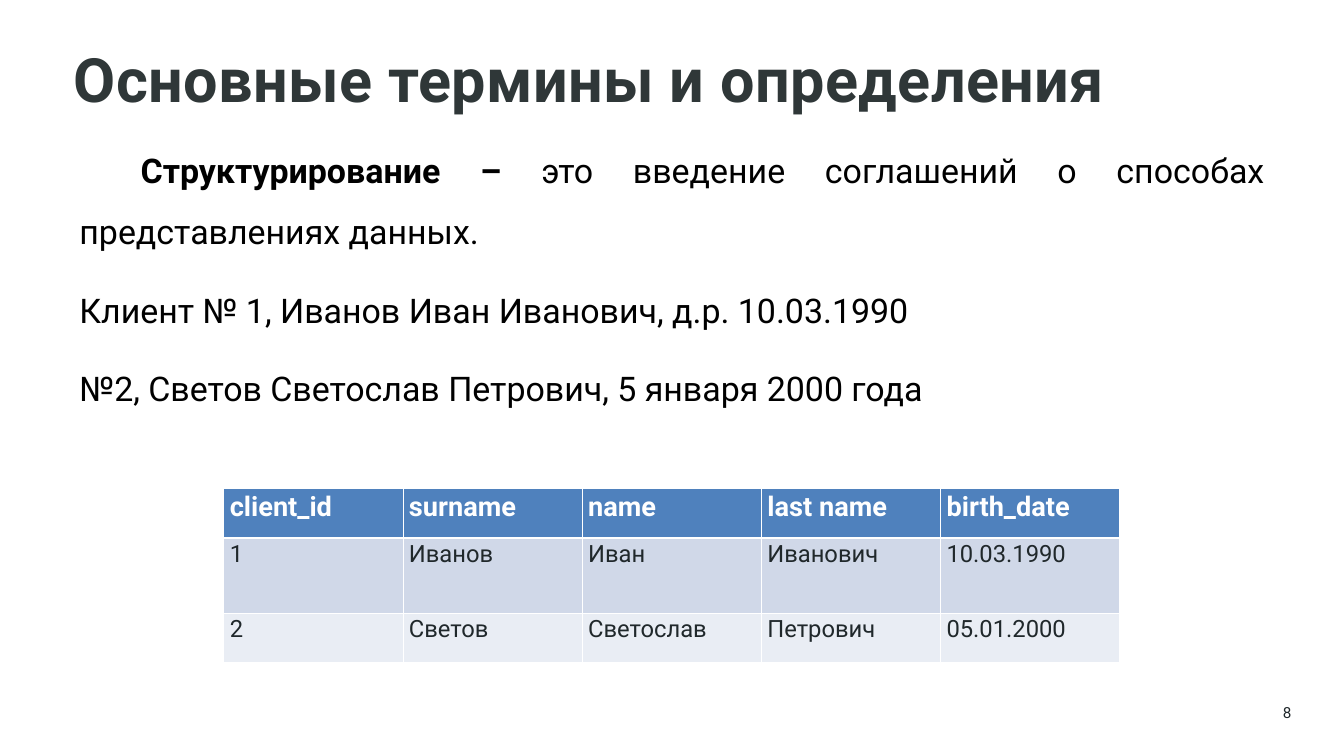
from lxml.etree import SubElement
from pptx import Presentation
from pptx.dml.color import RGBColor
from pptx.enum.text import PP_ALIGN as Align
from pptx.oxml.ns import qn
from pptx.util import Pt

TITLE = "Основные термины и определения"
PAGE_NUMBER = "8"
PARAGRAPHS = [
    [("Структурирование – ", True),
     ("это введение соглашений о способах представлениях данных.", False)],
    [("Клиент № 1, Иванов Иван Иванович, д.р. 10.03.1990", False)],
    [("№2, Светов Светослав Петрович, 5 января 2000 года", False)],
]
CLIENTS = [
    ("client_id", "surname", "name", "last name", "birth_date"),
    ("1", "Иванов", "Иван", "Иванович", "10.03.1990"),
    ("2", "Светов", "Светослав", "Петрович", "05.01.2000"),
]
# height, fill, text size, text colour, bold
ROW_STYLES = [
    (58.4, "4F81BD", 32, "FFFFFF", True),
    (88.4, "D0D8E8", 28, "20282B", False),
    (58.4, "E9EDF4", 28, "20282B", False),
]
COLUMN_WIDTH = 211.1
FONT = "Roboto"


def color(value):
    return RGBColor.from_string(value)


def format_run(run, size, text_color, bold=False):
    run.font.name = FONT
    run.font.size = Pt(size)
    run.font.bold = bold
    run.font.color.rgb = color(text_color)


def add_text_frame(slide, left, top, width, height, inset_top=0):
    box = slide.shapes.add_textbox(Pt(left), Pt(top), Pt(width), Pt(height))
    frame = box.text_frame
    frame.word_wrap = True
    frame.margin_left = frame.margin_right = frame.margin_bottom = 0
    frame.margin_top = Pt(inset_top)
    return frame


def add_title(slide):
    frame = add_text_frame(slide, 87.1, 49, 1384.6, 87.1)
    frame.text = TITLE
    run = frame.paragraphs[0].runs[0]
    format_run(run, 72, "2F3738", True)
    run.font._element.set("spc", "50")


def add_body(slide):
    frame = add_text_frame(slide, 93.6, 141.8, 1396, 438.5, 10.8)
    for index, parts in enumerate(PARAGRAPHS):
        paragraph = frame.add_paragraph() if index else frame.paragraphs[0]
        paragraph.alignment = Align.JUSTIFY
        paragraph.line_spacing = 1.5
        paragraph.space_before = Pt(20)
        for text, bold in parts:
            run = paragraph.add_run()
            run.text = text
            format_run(run, 40, "000000", bold)
    first = frame.paragraphs[0]._p.get_or_add_pPr()
    first.set("indent", str(Pt(72)))


def set_borders(cell, widths):
    """Draw white borders; widths maps each side to points."""
    properties = cell._tc.get_or_add_tcPr()
    for position, (side, width) in enumerate(widths.items()):
        line = properties.makeelement(qn(f"a:ln{side}"), {"w": str(Pt(width))})
        fill = SubElement(line, qn("a:solidFill"))
        SubElement(fill, qn("a:srgbClr"), val="FFFFFF")
        properties.insert(position, line)


def add_client_table(slide):
    columns = len(CLIENTS[0])
    height = sum(style[0] for style in ROW_STYLES)
    table = slide.shapes.add_table(
        len(CLIENTS), columns, Pt(263.5), Pt(575.3),
        Pt(COLUMN_WIDTH * columns), Pt(height)).table
    for column in table.columns:
        column.width = Pt(COLUMN_WIDTH)
    for index, (values, style) in enumerate(zip(CLIENTS, ROW_STYLES)):
        row_height, fill, size, text_color, bold = style
        row = table.rows[index]
        row.height = Pt(row_height)
        widths = {"L": 1, "R": 1,
                  "T": 3 if index == 1 else 1,
                  "B": 3 if index == 0 else 1}
        for cell, value in zip(row.cells, values):
            cell.text = value
            format_run(cell.text_frame.paragraphs[0].runs[0],
                       size, text_color, bold)
            cell.fill.solid()
            cell.fill.fore_color.rgb = color(fill)
            set_borders(cell, widths)


def add_page_number(slide):
    frame = add_text_frame(slide, 1305.4, 828, 216, 21.6)
    frame.text = PAGE_NUMBER
    paragraph = frame.paragraphs[0]
    paragraph.alignment = Align.RIGHT
    format_run(paragraph.runs[0], 18, "20282B")


def main():
    presentation = Presentation()
    presentation.slide_width = Pt(1583.3)
    presentation.slide_height = Pt(890.6)
    slide = presentation.slides.add_slide(presentation.slide_layouts[6])
    add_page_number(slide)
    add_title(slide)
    add_body(slide)
    add_client_table(slide)
    presentation.save("out.pptx")


if __name__ == "__main__":
    main()
